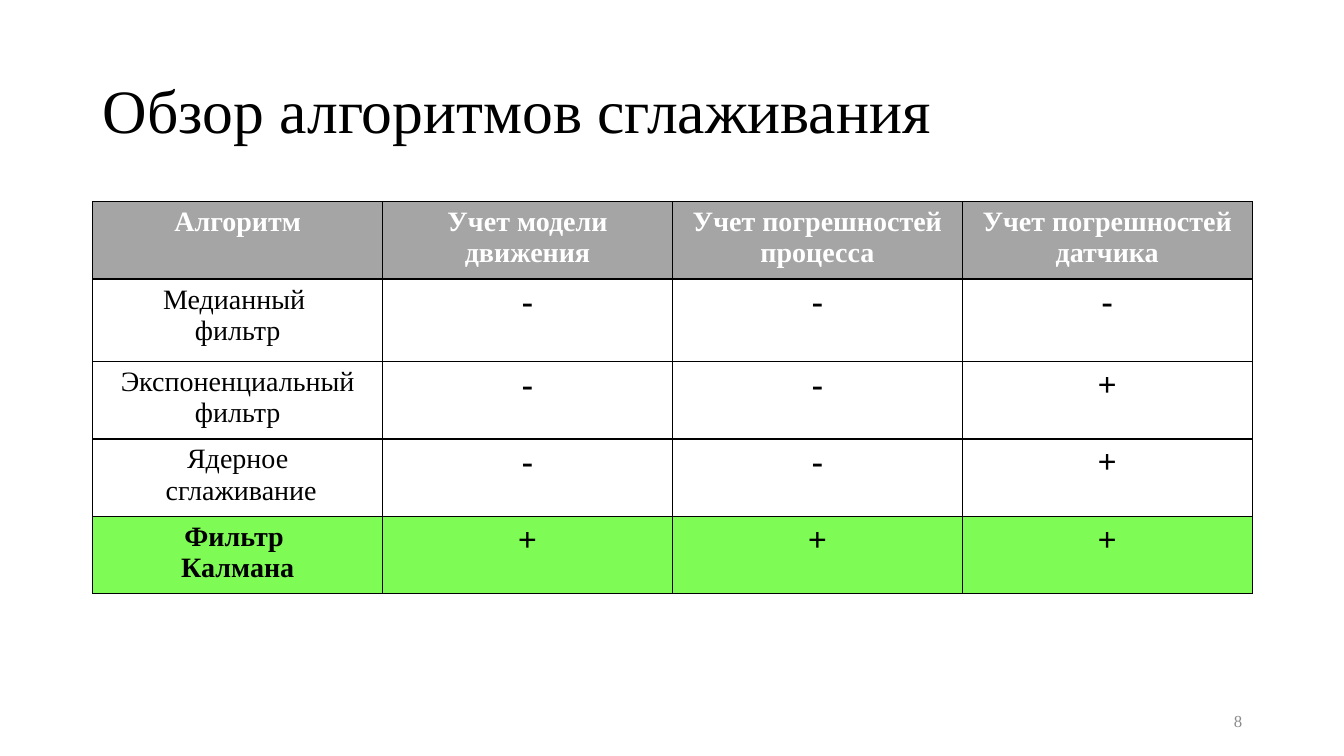
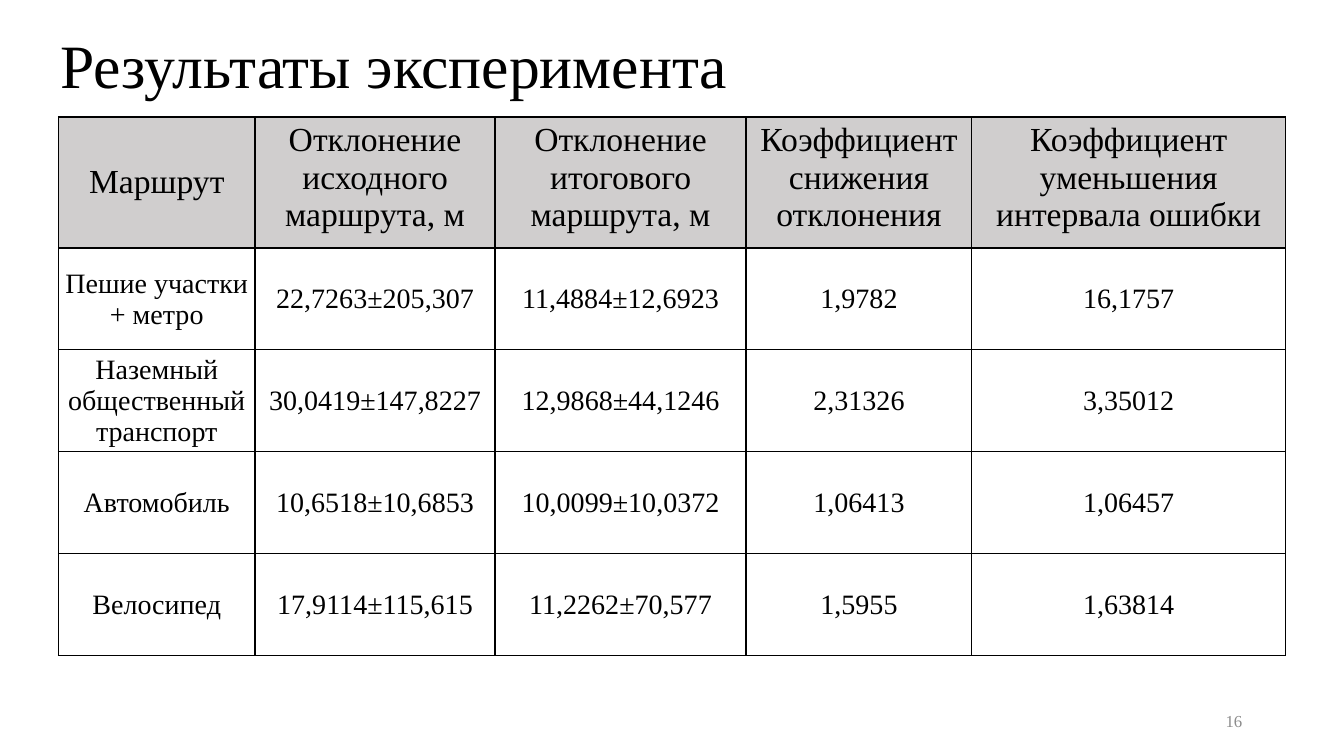
"""Build two slides that compare smoothing algorithms and experiment results."""
from dataclasses import dataclass

from lxml import etree
from pptx import Presentation, oxml, slide as sl, table as tb
from pptx import util as u
from pptx.dml.color import RGBColor
from pptx.enum import text
from pptx.oxml import ns
from pptx.text import text as tx

FONT = "Times New Roman"
BLACK = RGBColor(0x00, 0x00, 0x00)
WHITE = RGBColor(0xFF, 0xFF, 0xFF)
GRAY = RGBColor(0xA5, 0xA5, 0xA5)
LIGHT_GRAY = RGBColor(0xD0, 0xCE, 0xCE)
GREEN = RGBColor(0x7E, 0xFB, 0x55)
NUMBER_GRAY = RGBColor(0x8C, 0x8C, 0x8C)
TOP, MIDDLE = text.MSO_ANCHOR.TOP, text.MSO_ANCHOR.MIDDLE
LEFT, CENTER, RIGHT = text.PP_ALIGN.LEFT, text.PP_ALIGN.CENTER, text.PP_ALIGN.RIGHT
BORDER_WIDTH = u.Pt(1)


@dataclass(frozen=True)
class CellStyle:
    """Look of one table cell."""
    size: int = 20
    bold: bool = False
    color: RGBColor = BLACK
    fill: RGBColor = WHITE
    anchor: text.MSO_ANCHOR = TOP
    margin: float | None = None


@dataclass(frozen=True)
class Row:
    """Texts of one table row, with a style for the first cell and the others."""
    texts: tuple[str, ...]
    first: CellStyle
    others: CellStyle
    height: float


@dataclass(frozen=True)
class TableSlide:
    """A titled slide with one table."""
    title: str
    number: int
    title_at: tuple[float, float]
    table_at: tuple[float, float]
    columns: tuple[float, ...]
    rows: tuple[Row, ...]


HEADING = CellStyle(bold=True, color=WHITE, fill=GRAY)
NAME = CellStyle()
MARK = CellStyle(size=24, bold=True)
BEST_NAME = CellStyle(bold=True, fill=GREEN)
BEST_MARK = CellStyle(size=24, bold=True, fill=GREEN)
ROUTE_HEADING = CellStyle(size=24, fill=LIGHT_GRAY, anchor=MIDDLE)
VALUE_HEADING = CellStyle(size=24, fill=LIGHT_GRAY)
VALUE = CellStyle(anchor=MIDDLE, margin=0.01)

ALGORITHMS = TableSlide(
    "Обзор алгоритмов сглаживания", 8, (0.92, 0.4), (0.92, 2), (2.875,) * 4,
    (
        Row(("Алгоритм", "Учет модели\nдвижения", "Учет погрешностей процесса",
             "Учет погрешностей датчика"), HEADING, HEADING, 0.72),
        Row(("Медианный \nфильтр", "-", "-", "-"), NAME, MARK, 0.82),
        Row(("Экспоненциальный фильтр", "-", "-", "+"), NAME, MARK, 0.72),
        Row(("Ядерное\n сглаживание", "-", "-", "+"), NAME, MARK, 0.72),
        Row(("Фильтр \nКалмана", "+", "+", "+"), BEST_NAME, BEST_MARK, 0.72),
    ),
)

RESULTS = (
    ("Пешие участки + метро", "22,7263±205,307", "11,4884±12,6923", "1,9782", "16,1757"),
    ("Наземный общественный транспорт", "30,0419±147,8227", "12,9868±44,1246",
     "2,31326", "3,35012"),
    ("Автомобиль", "10,6518±10,6853", "10,0099±10,0372", "1,06413", "1,06457"),
    ("Велосипед", "17,9114±115,615", "11,2262±70,577", "1,5955", "1,63814"),
)
EXPERIMENT = TableSlide(
    "Результаты эксперимента", 16, (0.5, -0.05), (0.58, 1.16),
    (1.95, 2.38, 2.49, 2.24, 3.11),
    (
        Row(("Маршрут", "Отклонение исходного маршрута, м",
             "Отклонение итогового маршрута, м", "Коэффициент снижения отклонения",
             "Коэффициент уменьшения интервала ошибки"), ROUTE_HEADING, VALUE_HEADING, 1.26),
        *(Row(texts, VALUE, VALUE, 1.01) for texts in RESULTS),
    ),
)


def write_text(frame: tx.TextFrame, content: str, *, size: int, color: RGBColor = BLACK,
               bold: bool = False, align: text.PP_ALIGN = LEFT,
               line_spacing: float | None = None) -> None:
    """Write one paragraph for each line of the content."""
    for index, line in enumerate(content.split("\n")):
        paragraph = frame.add_paragraph() if index else frame.paragraphs[0]
        paragraph.alignment = align
        paragraph.line_spacing = line_spacing
        run = paragraph.add_run()
        run.text = line
        run.font.name = FONT
        run.font.size = u.Pt(size)
        run.font.bold = bold
        run.font.color.rgb = color


def add_text_box(slide: sl.Slide, content: str, left: float, top: float, width: float,
                 height: float, **text_format) -> None:
    """Add a wrapped, vertically centred text box."""
    box = slide.shapes.add_textbox(*map(u.Inches, (left, top, width, height)))
    box.text_frame.word_wrap = True
    box.text_frame.vertical_anchor = MIDDLE
    write_text(box.text_frame, content, **text_format)


def add_borders(cell: tb._Cell) -> None:
    """Give a cell a solid black line on each side."""
    properties = cell._tc.get_or_add_tcPr()
    for side in ("L", "R", "T", "B"):
        line = etree.SubElement(properties, ns.qn(f"a:ln{side}"), w=str(BORDER_WIDTH))
        line.append(oxml.parse_xml(
            f'<a:solidFill {ns.nsdecls("a")}><a:srgbClr val="{BLACK}"/></a:solidFill>'))


def format_cell(cell: tb._Cell, content: str, style: CellStyle) -> None:
    """Fill a cell with centred text in the given style."""
    add_borders(cell)
    cell.fill.solid()
    cell.fill.fore_color.rgb = style.fill
    cell.vertical_anchor = style.anchor
    if style.margin is not None:
        cell.margin_left = cell.margin_right = cell.margin_top = u.Inches(style.margin)
        cell.margin_bottom = 0
    write_text(cell.text_frame, content, size=style.size, color=style.color,
               bold=style.bold, align=CENTER)


def add_table(slide: sl.Slide, content: TableSlide) -> None:
    """Add the table of a slide."""
    width, height = sum(content.columns), sum(row.height for row in content.rows)
    table = slide.shapes.add_table(
        len(content.rows), len(content.columns),
        *map(u.Inches, (*content.table_at, width, height))).table
    for column, column_width in zip(table.columns, content.columns):
        column.width = u.Inches(column_width)
    for table_row, row in zip(table.rows, content.rows):
        table_row.height = u.Inches(row.height)
        for index, (cell, cell_text) in enumerate(zip(table_row.cells, row.texts)):
            format_cell(cell, cell_text, row.others if index else row.first)


def add_table_slide(presentation, content: TableSlide) -> None:
    """Add a slide with its title, table and page number."""
    slide = presentation.slides.add_slide(presentation.slide_layouts[6])
    add_text_box(slide, content.title, *content.title_at, 11.5, 1.45, size=44,
                 line_spacing=0.9)
    add_table(slide, content)
    add_text_box(slide, str(content.number), 9.42, 6.95, 3, 0.4, size=12,
                 color=NUMBER_GRAY, align=RIGHT)


def main() -> None:
    """Build and save the presentation."""
    presentation = Presentation()
    presentation.slide_width = u.Inches(13.33)
    presentation.slide_height = u.Inches(7.5)
    for content in (ALGORITHMS, EXPERIMENT):
        add_table_slide(presentation, content)
    presentation.save("out.pptx")


if __name__ == "__main__":
    main()
